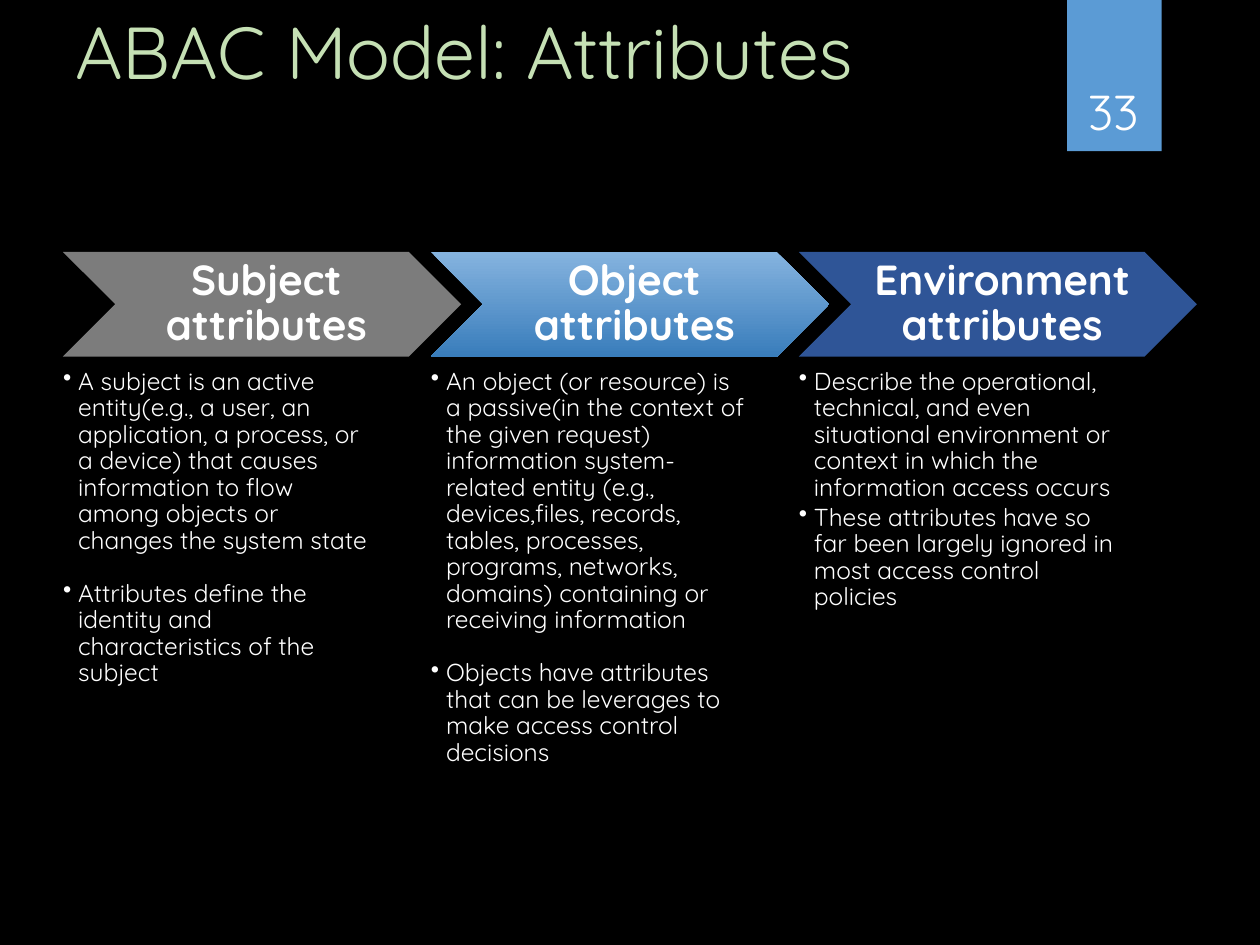
from dataclasses import dataclass

from lxml import etree
from pptx import Presentation
from pptx.dml.color import RGBColor
from pptx.enum.shapes import MSO_SHAPE
from pptx.enum.text import MSO_ANCHOR, PP_ALIGN
from pptx.oxml.ns import qn
from pptx.util import Inches, Pt

RECTANGLE, CHEVRON = MSO_SHAPE.RECTANGLE, MSO_SHAPE.CHEVRON
TOP, MIDDLE, BOTTOM = MSO_ANCHOR.TOP, MSO_ANCHOR.MIDDLE, MSO_ANCHOR.BOTTOM
LEFT, CENTER = PP_ALIGN.LEFT, PP_ALIGN.CENTER

# The slide is a grid of 100 columns by 75 rows.
COLUMNS, ROWS = 100, 75
CELL = Inches(0.1)


@dataclass(frozen=True)
class Theme:
    font: str = "Quicksand"
    background: str = "000000"
    text: str = "FFFFFF"
    title: str = "C5E0B4"
    badge: str = "5B9BD5"
    title_size: int = 42
    number_size: int = 28
    heading_size: int = 24
    body_size: int = 14
    line_spacing: float = 0.9


THEME = Theme()


@dataclass(frozen=True)
class Box:
    column: float
    row: float
    width: float
    height: float

    def emu(self):
        return [round(n * CELL) for n in (self.column, self.row, self.width, self.height)]

    def inner(self, column, row, width, height):
        return Box(self.column + column, self.row + row, width, height)


# Heading, chevron colours, points, and space after each point.
ATTRIBUTES = [
    ("Subject attributes", ["7C7C7C"], [
        "A subject is an active entity(e.g., a user, an application, a process, or a device) "
        "that causes information to flow among objects or changes the system state",
        "Attributes define the identity and characteristics of the subject",
    ], 15.2),
    ("Object attributes", ["85B3DF", "397DBB"], [
        "An object (or resource) is a passive(in the context of the given request) "
        "information system-related entity (e.g., devices,files, records, tables, processes, "
        "programs, networks, domains) containing or receiving information",
        "Objects have attributes that can be leverages to make access control decisions",
    ], 15.2),
    ("Environment attributes", ["2F5597"], [
        "Describe the operational, technical, and even situational environment or context "
        "in which the information access occurs",
        "These attributes have so far been largely ignored in most access control policies",
    ], 2.1),
]


def add_text(slide, box, paragraphs, size, color=THEME.text, bold=False,
             align=LEFT, anchor=TOP, insets=(0.1, 0.05, 0.1, 0.05)):
    frame = slide.shapes.add_textbox(*box.emu()).text_frame
    frame.word_wrap = True
    frame.vertical_anchor = anchor
    (frame.margin_left, frame.margin_top,
     frame.margin_right, frame.margin_bottom) = map(Inches, insets)
    frame.text = "\n".join(paragraphs)
    for paragraph in frame.paragraphs:
        paragraph.alignment = align
        for run in paragraph.runs:
            run.font.name = THEME.font
            run.font.size = Pt(size)
            run.font.bold = bold
            run.font.color.rgb = RGBColor.from_string(color)
    return frame


def add_filled_shape(slide, preset, box, colors):
    """One colour gives a solid fill, two a gradient from top to bottom."""
    shape = slide.shapes.add_shape(preset, *box.emu())
    shape.shadow.inherit = False
    shape.line.fill.background()
    if len(colors) == 1:
        shape.fill.solid()
        shape.fill.fore_color.rgb = RGBColor.from_string(colors[0])
    else:
        shape.fill.gradient()
        shape.fill.gradient_angle = 270
        for stop, color in zip(shape.fill.gradient_stops, colors):
            stop.color.rgb = RGBColor.from_string(color)


def add_bullet(paragraph):
    properties = paragraph._p.get_or_add_pPr()
    properties.set("marL", str(Inches(0.12)))
    properties.set("indent", str(-Inches(0.12)))
    etree.SubElement(properties, qn("a:buChar")).set("char", "•")


def add_title(slide, box):
    add_text(slide, box, ["ABAC Model: Attributes"], THEME.title_size, THEME.title)


def add_page_number(slide, box):
    add_filled_shape(slide, RECTANGLE, box, [THEME.badge])
    add_text(slide, box.inner(0.2, 3.2, 6.9, 8.4), ["33"], THEME.number_size,
             align=CENTER, anchor=BOTTOM)


def add_attribute_column(slide, box, heading, colors, points, space_after):
    chevron_height = 8.3
    add_filled_shape(slide, CHEVRON, box.inner(0, 0, box.width, chevron_height), colors)
    label = add_text(slide, box.inner(4.2, 0, 23.3, chevron_height), [heading],
                     THEME.heading_size, bold=True, align=CENTER, anchor=MIDDLE,
                     insets=(0.1, 0.04, 0.04, 0.04))
    label.paragraphs[0].line_spacing = THEME.line_spacing

    body = add_text(slide, box.inner(0, 9.3, 25.2, box.height - 9.3), points,
                    THEME.body_size, insets=(0, 0, 0, 0))
    for paragraph in body.paragraphs:
        add_bullet(paragraph)
        paragraph.level = 1
        paragraph.line_spacing = THEME.line_spacing
        paragraph.space_after = Pt(space_after)


def add_attribute_columns(slide, box):
    chevron_width = 31.6
    step = (box.width - chevron_width) / (len(ATTRIBUTES) - 1)
    for index, attribute in enumerate(ATTRIBUTES):
        column_box = box.inner(index * step, 0, chevron_width, box.height)
        add_attribute_column(slide, column_box, *attribute)


def main():
    presentation = Presentation()
    presentation.slide_width = COLUMNS * CELL
    presentation.slide_height = ROWS * CELL
    slide = presentation.slides.add_slide(presentation.slide_layouts[6])
    slide.background.fill.solid()
    slide.background.fill.fore_color.rgb = RGBColor.from_string(THEME.background)

    add_title(slide, Box(5, 0, 90, 14.7))
    add_attribute_columns(slide, Box(5, 20, 90, 44.5))
    add_page_number(slide, Box(84.7, 0, 7.5, 12))
    presentation.save("out.pptx")


if __name__ == "__main__":
    main()
